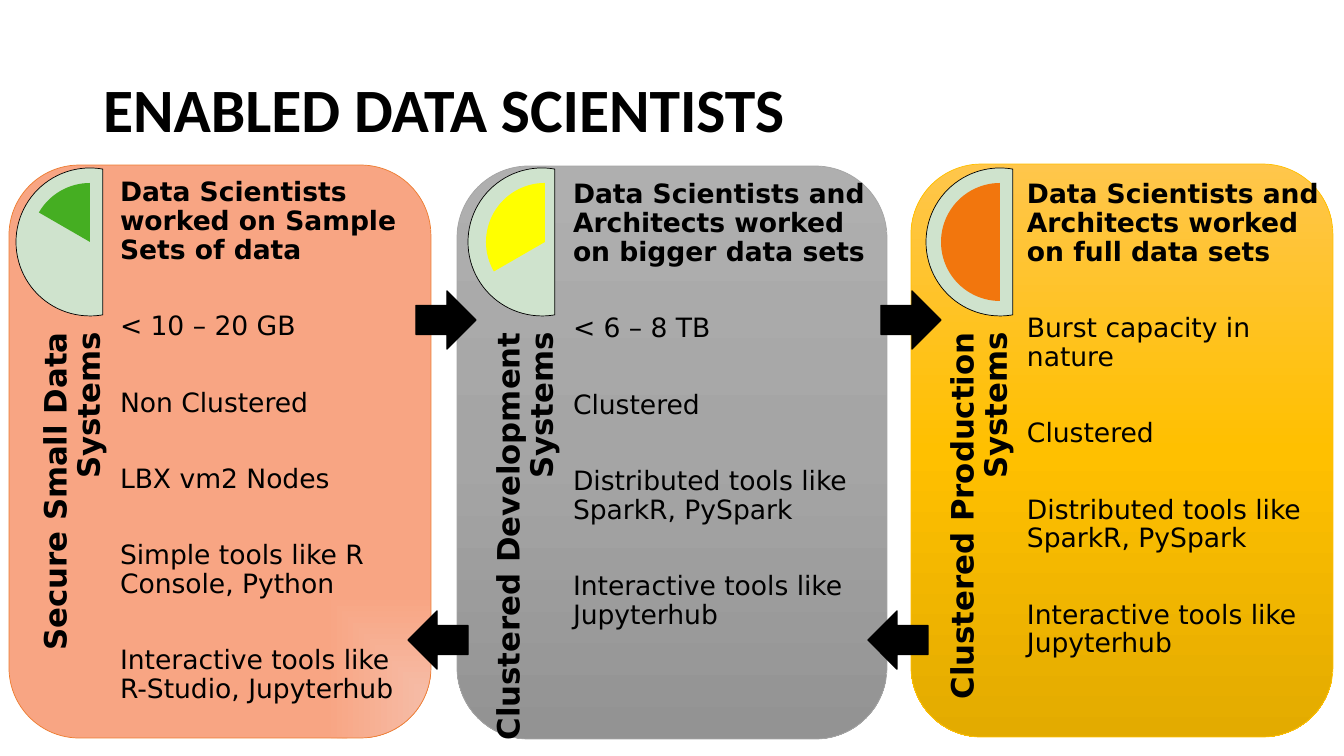
from lxml import etree
from pptx import Presentation
from pptx.dml.color import RGBColor
from pptx.enum.shapes import MSO_SHAPE
from pptx.enum.text import MSO_ANCHOR, MSO_AUTO_SIZE, PP_ALIGN
from pptx.oxml import parse_xml
from pptx.oxml.ns import nsdecls
from pptx.util import Pt

ROUND, CHORD = MSO_SHAPE.ROUNDED_RECTANGLE, MSO_SHAPE.CHORD
PIE, ARROW = MSO_SHAPE.PIE, MSO_SHAPE.RIGHT_ARROW
LEFT, RIGHT = PP_ALIGN.LEFT, PP_ALIGN.RIGHT
TOP, MIDDLE, BOTTOM = MSO_ANCHOR.TOP, MSO_ANCHOR.MIDDLE, MSO_ANCHOR.BOTTOM

# Content
TITLE = "ENABLED DATA SCIENTISTS"
DOWN = '<a:lin ang="5400000" scaled="0"/>'
CORNER = '<a:path path="rect"><a:fillToRect l="100000" t="100000"/></a:path>'
STAGES = [
    dict(label="Secure Small Data Systems", panel=(9, 165, 422), chord_x=16,
         pie_x=31, pie_start=210, pie="45AE22", text=(120, 179), line="ED7D31",
         stops=[(0, "F6BDA8"), (50, "F8A583"), (100, "F8A583")], shade=CORNER,
         head="Data Scientists worked on Sample Sets of data",
         items=["< 10 – 20 GB", "Non Clustered", "LBX vm2 Nodes",
                "Simple tools like R Console, Python",
                "Interactive tools like R-Studio, Jupyterhub"]),
    dict(label="Clustered Development Systems", panel=(457, 166, 430), chord_x=468,
         pie_x=486, pie_start=150, pie="FFFF00", text=(573, 181), line="A5A5A5",
         stops=[(0, "AFAFAF"), (50, "A5A5A5"), (100, "939393")], shade=DOWN,
         head="Data Scientists and Architects worked on bigger data sets",
         items=["< 6 – 8 TB", "Clustered", "Distributed tools like SparkR, PySpark",
                "Interactive tools like Jupyterhub"]),
    dict(label="Clustered Production Systems", panel=(911, 164, 422), chord_x=926,
         pie_x=941, pie_start=90, pie="F2760D", text=(1027, 181), line="FFC000",
         stops=[(0, "FFC64B"), (50, "FFC000"), (100, "E3AB00")], shade=DOWN,
         head="Data Scientists and Architects worked on full data sets",
         items=["Burst capacity in nature", "Clustered",
                "Distributed tools like SparkR, PySpark",
                "Interactive tools like Jupyterhub"]),
]
ARROWS = [(416, 291, 0), (408, 611, 180), (881, 291, 0), (868, 611, 180)]

# Sizes in px
SLIDE_W, SLIDE_H = 1344, 756
PANEL_H, CHORD_SIZE, PIE_SIZE = 573, 148, 118
LABEL_W, LABEL_H, LABEL_MID_Y, LABEL_GAP = 429, 89, 547, 58
TEXT_W, TEXT_H = 296, 560
EMU_PER_PX = 914400 / 100.8


def px(*values):
    return [round(v * EMU_PER_PX) for v in values]


def rgb(color):
    return RGBColor.from_string(color)


def add_shape(kind, box, fill=None, line=None, width=0.5, angles=()):
    sp = s.shapes.add_shape(kind, *px(*box))
    sp.shadow.inherit = False
    for i, degrees in enumerate(angles):
        sp.adjustments[i] = degrees * 0.6
    if fill:
        sp.fill.solid()
        sp.fill.fore_color.rgb = rgb(fill)
    if line:
        sp.line.color.rgb = rgb(line)
        sp.line.width = Pt(width)
    else:
        sp.line.fill.background()
    return sp


def set_gradient(sp, stops, shade):
    grad = parse_xml(f'<a:gradFill {nsdecls("a")} rotWithShape="1"><a:gsLst/>{shade}</a:gradFill>')
    ns = "{%s}" % grad.nsmap["a"]
    for pos, color in stops:
        gs = etree.SubElement(grad[0], ns + "gs", pos=str(pos * 1000))
        etree.SubElement(gs, ns + "srgbClr", val=color)
    sp._element.spPr.find(ns + "prstGeom").addnext(grad)


def set_frame(tf, anchor, inset=0):
    tf.word_wrap = True
    tf.auto_size = MSO_AUTO_SIZE.NONE
    tf.vertical_anchor = anchor
    if inset is not None:
        tf.margin_left = tf.margin_right = tf.margin_top = tf.margin_bottom = inset


def write(p, text, size, font="DejaVu Sans", bold=False, align=LEFT, before=0):
    p.alignment = align
    p.line_spacing = 0.9
    p.space_before = Pt(before)
    r = p.add_run()
    r.text = text
    r.font.name, r.font.size, r.font.bold = font, Pt(size), bold
    r.font.color.rgb = rgb("000000")


prs = Presentation()
prs.slide_width, prs.slide_height = px(SLIDE_W, SLIDE_H)
s = prs.slides.add_slide(prs.slide_layouts[5])

# Title
title = s.shapes.title
title.left, title.top, title.width, title.height = px(93, 40, 1159, 146)
set_frame(title.text_frame, MIDDLE, inset=None)
write(title.text_frame.paragraphs[0], TITLE, 44, font="Calibri", bold=True)

for stage in STAGES:
    # Panel and dial
    x, y, w = stage["panel"]
    panel = add_shape(ROUND, (x, y, w, PANEL_H), line=stage["line"])
    set_gradient(panel, stage["stops"], stage["shade"])
    add_shape(CHORD, (stage["chord_x"], 168, CHORD_SIZE, CHORD_SIZE),
              "CFE3CD", "000000", angles=(80, 280))
    add_shape(PIE, (stage["pie_x"], 183, PIE_SIZE, PIE_SIZE),
              stage["pie"], angles=(stage["pie_start"], 270))

    # Upright label
    x, y = stage["text"]
    label = s.shapes.add_textbox(*px(x - LABEL_GAP - LABEL_W / 2, LABEL_MID_Y - LABEL_H / 2,
                                     LABEL_W, LABEL_H))
    label.rotation = 270
    set_frame(label.text_frame, BOTTOM)
    write(label.text_frame.paragraphs[0], stage["label"], 22, bold=True, align=RIGHT)

    # Heading and items
    tf = s.shapes.add_textbox(*px(x, y, TEXT_W, TEXT_H)).text_frame
    set_frame(tf, TOP)
    write(tf.paragraphs[0], stage["head"], 19, bold=True)
    for item in stage["items"]:
        write(tf.add_paragraph(), item, 19, before=34)

# Arrows between panels
for x, y, turn in ARROWS:
    add_shape(ARROW, (x, y, 60, 58), "000000", "000000", 1).rotation = turn

prs.save("out.pptx")
